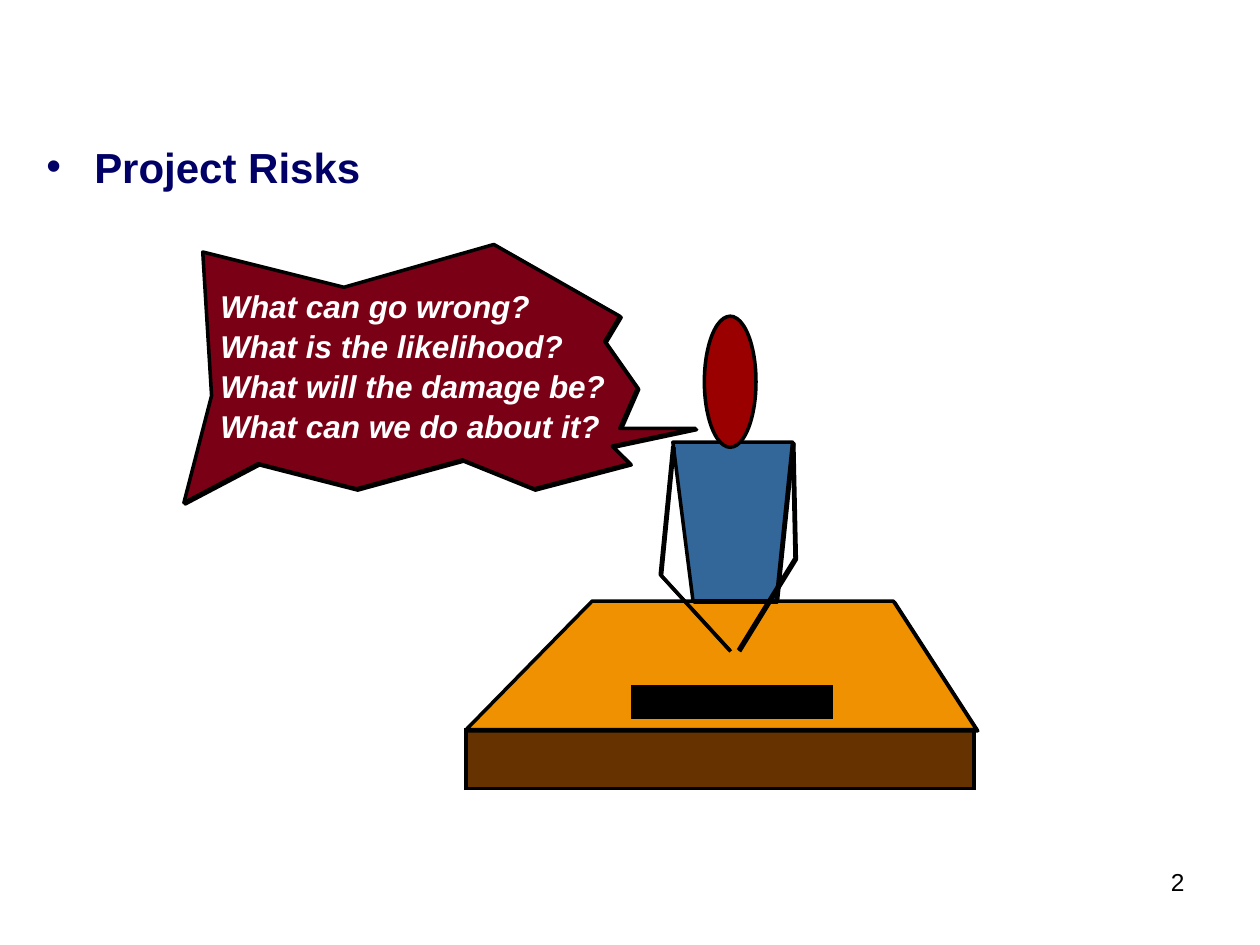
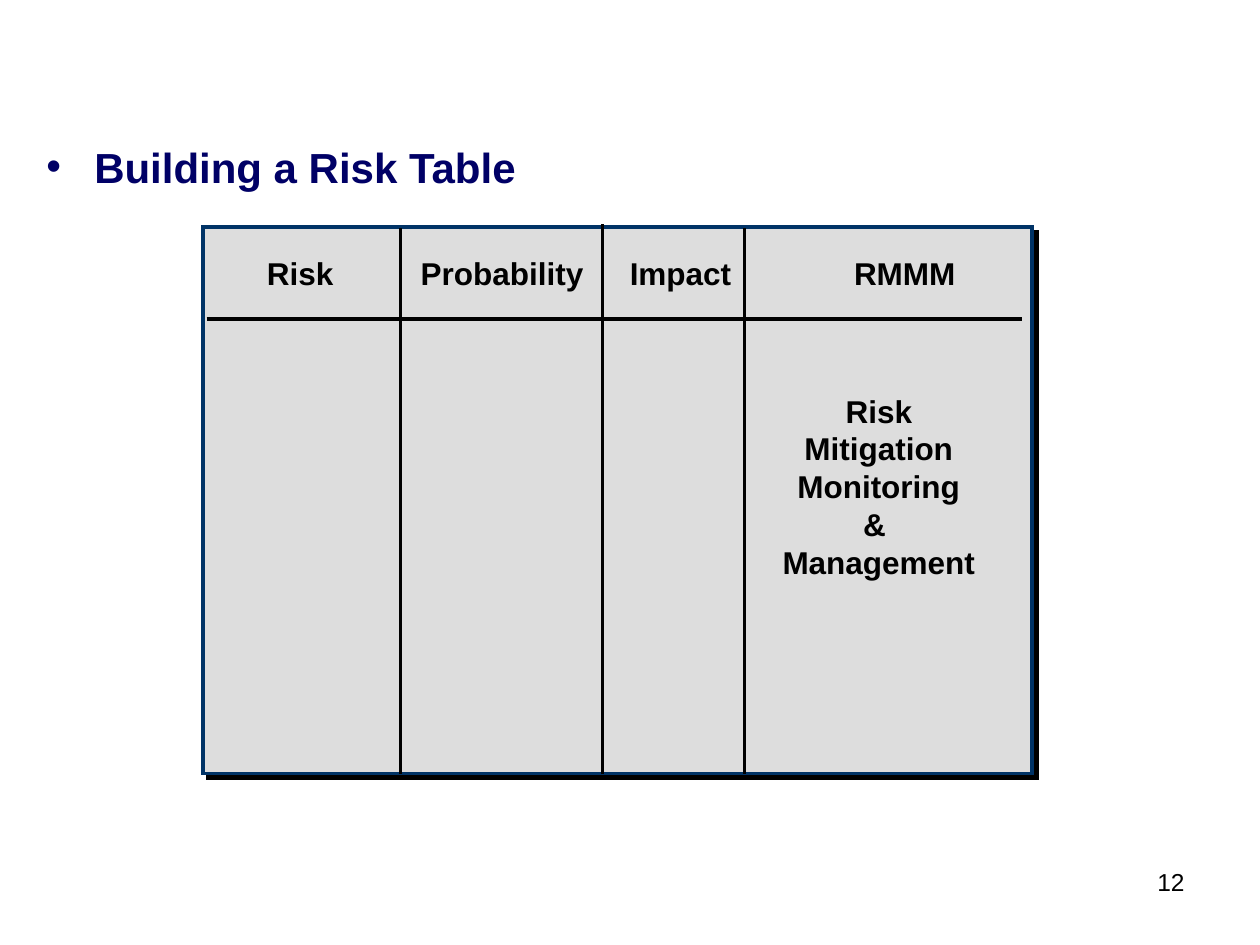
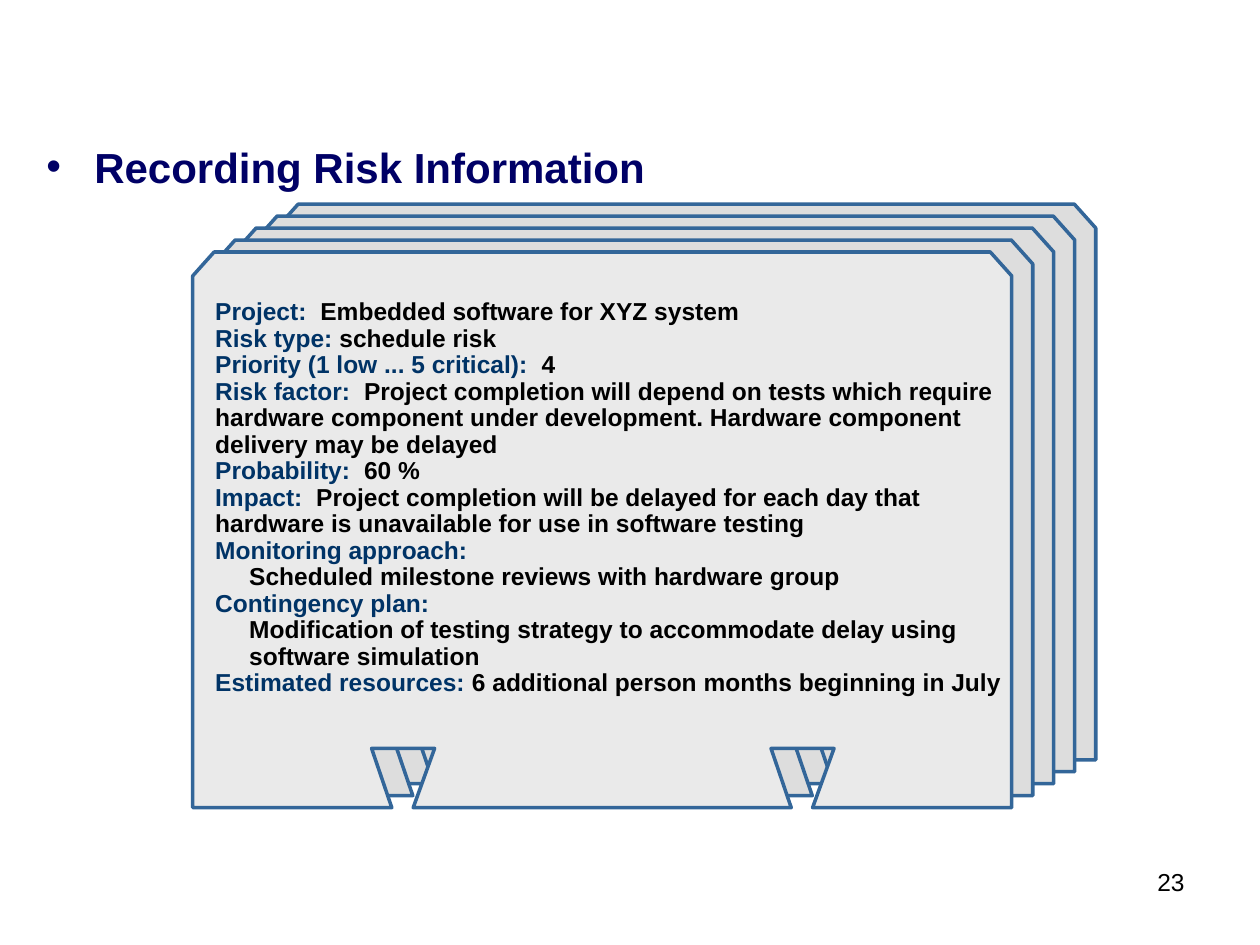
from lxml.etree import SubElement
from pptx import Presentation
from pptx.dml.color import RGBColor
from pptx.enum.shapes import MSO_CONNECTOR, MSO_SHAPE
from pptx.enum.text import MSO_AUTO_SIZE, PP_ALIGN
from pptx.oxml.ns import qn
from pptx.util import Inches, Pt

FONT = "Arial"
COLORS = {
    "black": "000000", "white": "FFFFFF", "title": "000066", "bubble": "790015",
    "desk_front": "663300", "desk_top": "EF9100", "torso": "336699",
    "head": "9A0000", "panel": "DDDDDD", "card": "EAEAEA",
    "card_edge": "336699", "navy": "003366",
}
QUESTIONS = [
    ("What can go wrong?", 2.68),
    ("What is the likelihood?", 2.94),
    ("What will the damage be?", 3.28),
    ("What can we do about it?", 3.24),
]
HEADINGS = [("Risk", 0.41, 0.75), ("Probability", 1.63, 1.51),
            ("Impact", 3.29, 1.04), ("RMMM", 5.07, 1.04)]
RMMM = ["Risk", "Mitigation", "Monitoring", "& ", "Management"]
RECORD = [
    ("Project:", "Embedded software for XYZ system"),
    ("Risk type:", "schedule risk"),
    ("Priority (1 low ... 5 critical):", "4"),
    ("Risk factor:", "Project completion will depend on tests which require"),
    ("", "hardware component under development. Hardware component"),
    ("", "delivery may be delayed"),
    ("Probability:", "60 %"),
    ("Impact:", "Project completion will be delayed for each day that"),
    ("", "hardware is unavailable for use in software testing"),
    ("Monitoring approach:", ""),
    ("indent", "Scheduled milestone reviews with hardware group"),
    ("Contingency plan:", ""),
    ("indent", "Modification of testing strategy to accommodate delay using"),
    ("indent", "software simulation"),
    ("Estimated resources:", "6 additional person months beginning in July"),
]
NARROW_GAP = {"Risk type:", "Estimated resources:"}


def rgb(name):
    """Return the named colour."""
    return RGBColor.from_string(COLORS[name])


def add_run(p, text, size, color, bold=True, italic=False):
    """Append a formatted run to a paragraph and return it."""
    r = p.add_run()
    r.text = text
    r.font.name, r.font.size = FONT, Pt(size)
    r.font.bold, r.font.italic = bold, italic
    r.font.color.rgb = rgb(color)
    return r


def add_box(slide, x, y, w, h, wrap=False):
    """Add a text box and return its text frame."""
    tf = slide.shapes.add_textbox(*map(Inches, (x, y, w, h))).text_frame
    tf.word_wrap = wrap
    if not wrap:
        tf.auto_size = MSO_AUTO_SIZE.SHAPE_TO_FIT_TEXT
    return tf


def paint(sp, fill=None, line="black"):
    """Set the fill and outline of a shape without a shadow."""
    sp.shadow.inherit = False
    if fill:
        sp.fill.solid()
        sp.fill.fore_color.rgb = rgb(fill)
    else:
        sp.fill.background()
    sp.line.color.rgb = rgb(line)
    sp.line.width = Pt(2)


def add_preset(slide, kind, x, y, w, h, fill, line="black"):
    """Add a painted preset shape with sharp corners."""
    sp = slide.shapes.add_shape(kind, *map(Inches, (x, y, w, h)))
    paint(sp, fill, line)
    SubElement(sp._element.spPr.find(qn("a:ln")), qn("a:miter"), lim="800000")
    return sp


def add_outline(slide, x, y, points, fill=None, line="black", close=True):
    """Add a freeform whose points are relative to x, y."""
    pts = [(Inches(px), Inches(py)) for px, py in points]
    builder = slide.shapes.build_freeform(*pts[0])
    builder.add_line_segments(pts[1:], close=close)
    paint(builder.convert_to_shape(Inches(x), Inches(y)), fill, line)


def add_heavy_outline(slide, x, y, points, fill=None, close=True):
    """Add a freeform over a slightly shifted outline of itself."""
    add_outline(slide, x + 0.01, y + 0.01, points, close=close)
    add_outline(slide, x, y, points, fill, close=close)


def add_line(slide, x1, y1, x2, y2):
    """Add a straight black rule."""
    sp = slide.shapes.add_connector(
        MSO_CONNECTOR.STRAIGHT, *map(Inches, (x1, y1, x2, y2)))
    sp.line.color.rgb = rgb("black")
    sp.line.width = Pt(2)
    SubElement(sp._element.spPr, qn("a:effectLst"))


def add_base(prs, title, number):
    """Add a blank slide with its bulleted title and page number."""
    slide = prs.slides.add_slide(prs.slide_layouts[6])
    p = add_box(slide, 7.44, 6.83, 2.06, 0.52, wrap=True).paragraphs[0]
    p.alignment = PP_ALIGN.RIGHT
    add_run(p, str(number), 14, "black", bold=False)
    p = add_box(slide, 0.27, 1.07, 9, 0.95, wrap=True).paragraphs[0]
    pPr = p._p.get_or_add_pPr()
    pPr.set("marL", str(Inches(0.38)))
    pPr.set("indent", str(-Inches(0.38)))
    clr = SubElement(pPr, qn("a:buClr"))
    SubElement(clr, qn("a:srgbClr"), val=COLORS["title"])
    SubElement(pPr, qn("a:buFont"), typeface=FONT)
    SubElement(pPr, qn("a:buChar"), char="•")
    add_run(p, title, 24, "title")
    return slide


def add_bubble(slide, x, y):
    """Draw the jagged speech bubble."""
    add_heavy_outline(slide, x, y, [
        (4.06, 1.46), (3.4, 1.6), (3.54, 1.74), (2.78, 1.94), (2.21, 1.71),
        (1.37, 1.94), (0.59, 1.74), (0, 2.05), (0.22, 1.2), (0.15, 0.06),
        (1.27, 0.34), (2.46, 0), (3.46, 0.57), (3.34, 0.77), (3.6, 1.14),
        (3.46, 1.46)], "bubble")


def add_questions(slide, x, y):
    """Write the questions line by line."""
    for i, (text, w) in enumerate(QUESTIONS):
        tf = add_box(slide, x, y + 0.95 * i / 3, w, 0.4)
        add_run(tf.paragraphs[0], text, 18, "white", italic=True)


def add_person_at_desk(slide, x, y):
    """Draw a person sitting behind a desk."""
    add_preset(slide, MSO_SHAPE.RECTANGLE, x, y + 3.28, 4.03, 0.47, "desk_front")
    add_heavy_outline(slide, x, y, [
        (0, 3.28), (1, 2.26), (3.39, 2.26), (4.05, 3.28)], "desk_top")
    add_heavy_outline(slide, x, y, [
        (1.8, 2.26), (1.64, 1), (2.59, 1), (2.46, 2.26)], "torso")
    for arm in ([(1.64, 1.03), (1.54, 2.05), (2.09, 2.65)],
                [(2.59, 1), (2.61, 1.92), (2.16, 2.65)]):
        add_heavy_outline(slide, x, y, arm, close=False)
    add_preset(slide, MSO_SHAPE.OVAL, x + 1.89, y, 0.41, 1.04, "head")
    add_preset(slide, MSO_SHAPE.RECTANGLE, x + 1.32, y + 2.94, 1.58, 0.24, "black")


def add_risk_grid(slide, x, y, w, h):
    """Draw the ruled risk panel with headings and the RMMM note."""
    sp = add_preset(slide, MSO_SHAPE.RECTANGLE, x, y, w, h, "panel", "navy")
    effects = sp._element.spPr.find(qn("a:effectLst"))
    shadow = SubElement(effects, qn("a:outerShdw"), dist=str(Pt(4.2)),
                        dir="2700000", algn="ctr", rotWithShape="0")
    SubElement(shadow, qn("a:srgbClr"), val=COLORS["black"])
    for dx, dy in ((1.57, 0.01), (3.17, -0.02), (4.3, 0.01)):
        add_line(slide, x + dx, y + dy, x + dx, y + h)
    add_line(slide, x + 0.03, y + 0.73, x + w - 0.08, y + 0.73)
    for text, dx, width in HEADINGS:
        tf = add_box(slide, x + dx, y + 0.17, width, 0.4)
        add_run(tf.paragraphs[0], text, 18, "black")
    tf = add_box(slide, x + 4.5, y + 1.26, 1.73, 1.6)
    for i, text in enumerate(RMMM):
        p = tf.add_paragraph() if i else tf.paragraphs[0]
        p.alignment = PP_ALIGN.CENTER
        add_run(p, text, 18, "black")


def add_cards(slide, x, y, w, h, count=5):
    """Stack notched index cards, the front one at x, y."""
    points = [(0, h), (0, 0.19), (0.17, 0), (w - 0.17, 0), (w, 0.19), (w, h)]
    for left in (w - 1.91, 1.42):
        points += [(left + 0.33, h), (left + 0.5, h - 0.47),
                   (left, h - 0.47), (left + 0.16, h)]
    for i in reversed(range(count)):
        add_outline(slide, x + i / 6, y - 0.095 * i, points,
                    "panel" if i else "card", "card_edge")


def add_record(slide, x, y, w, h):
    """Write the labelled lines of the risk record."""
    tf = add_box(slide, x, y, w, h)
    for i, (label, value) in enumerate(RECORD):
        p = tf.add_paragraph() if i else tf.paragraphs[0]
        p.line_spacing = 0.9
        if label == "indent":
            p._p.get_or_add_pPr().set("marL", str(Inches(0.27)))
        elif label:
            add_run(p, label, 14, "navy")
            if value:
                gap = add_run(p, " ", 14, "black")
                if label not in NARROW_GAP:
                    gap.font._element.set("spc", "390")
        if value:
            add_run(p, value, 14, "black")


def main():
    """Build the three slides and save them."""
    prs = Presentation()
    prs.slide_width, prs.slide_height = Inches(10), Inches(7.5)
    slide = add_base(prs, "Project Risks", 2)
    add_bubble(slide, 1.46, 1.94)
    add_person_at_desk(slide, 3.7, 2.51)
    add_questions(slide, 1.65, 2.23)
    slide = add_base(prs, "Building a Risk Table", 12)
    add_risk_grid(slide, 1.61, 1.8, 6.58, 4.34)
    slide = add_base(prs, "Recording Risk Information", 23)
    add_cards(slide, 1.53, 2, 6.5, 4.41)
    add_record(slide, 1.61, 2.33, 6.44, 3.69)
    prs.save("out.pptx")


if __name__ == "__main__":
    main()
